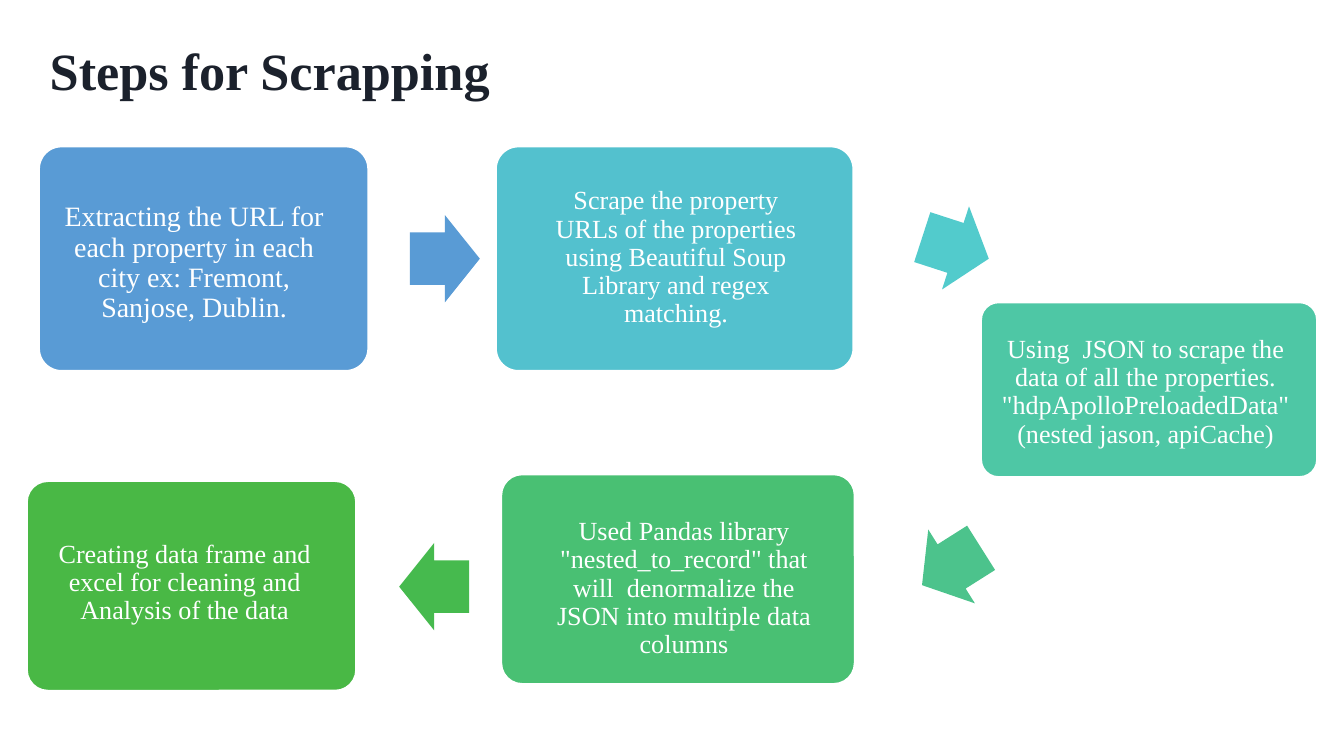
import pptx
import pptx.dml.color
import pptx.enum.shapes
import pptx.enum.text
import pptx.util

SHAPE = pptx.enum.shapes.MSO_SHAPE
ALIGN = pptx.enum.text.PP_ALIGN
MIDDLE = pptx.enum.text.MSO_ANCHOR.MIDDLE
FONT = "Times New Roman"
WHITE = "FFFFFF"
SLIDE_WIDTH = 10
SLIDE_HEIGHT = SLIDE_WIDTH * 9 / 16

TITLE = "Steps for Scrapping"

# Each step: text, size, colour, card (left, top, width, height), label area
STEPS = [
    ("Extracting the URL for each property in each city ex: Fremont, Sanjose, Dublin.",
     15, "599BD5", (0.29, 1.09, 2.45, 1.67), (0.39, 1.33, 2.11, 1.26)),
    ("Scrape the property URLs of the properties using Beautiful Soup Library and regex matching.",
     14, "53C1CE", (3.69, 1.09, 2.66, 1.67), (4.04, 1.14, 1.98, 1.56)),
    ('Using  JSON to scrape the data of all the properties. "hdpApolloPreloadedData" (nested jason, apiCache)',
     14, "4EC7A5", (7.3, 2.25, 2.5, 1.3), (7.3, 2.29, 2.45, 1.26)),
    ('Used Pandas library "nested_to_record" that will  denormalize the JSON into multiple data columns',
     14, "49C073", (3.73, 3.53, 2.63, 1.56), (3.97, 3.75, 2.24, 1.26)),
    ("Creating data frame and excel for cleaning and Analysis of the data",
     14, "49B845", (0.2, 3.58, 2.45, 1.56), (0.32, 3.79, 2.11, 1.1)),
]

# Each arrow leads to the next step: left, top, rotation, colour
ARROW_SIZE = (0.52, 0.65)
ARROWS = [
    (3.05, 1.6, 0, "599BD5"),
    (6.85, 1.52, 18, "52CBCC"),
    (6.82, 3.89, 147.7, "4CC38C"),
    (2.97, 4.04, 180, "46BA4E"),
]


def rgb(value):
    return pptx.dml.color.RGBColor.from_string(value)


def inches(lengths):
    return [pptx.util.Inches(length) for length in lengths]


def add_filled(slide, preset, area, color, adjustments):
    shape = slide.shapes.add_shape(preset, *inches(area))
    shape.shadow.inherit = False
    shape.fill.solid()
    shape.fill.fore_color.rgb = rgb(color)
    for index, share in enumerate(adjustments):
        shape.adjustments[index] = share
    return shape


def write(frame, text, size, color, align, insets, bold=False):
    """Fill a text frame with one paragraph; insets are left, top, right, bottom."""
    frame.word_wrap = True
    frame.auto_size = pptx.enum.text.MSO_AUTO_SIZE.NONE
    frame.vertical_anchor = MIDDLE
    (frame.margin_left, frame.margin_top,
     frame.margin_right, frame.margin_bottom) = inches(insets)
    paragraph = frame.paragraphs[0]
    paragraph.text = text
    paragraph.alignment = align
    paragraph.line_spacing = 0.9
    paragraph.font.name = FONT
    paragraph.font.size = pptx.util.Pt(size)
    paragraph.font.bold = bold
    paragraph.font.color.rgb = rgb(color)


def add_step(slide, text, size, color, card_area, label_area):
    card = add_filled(slide, SHAPE.ROUNDED_RECTANGLE, card_area, color, [0.1])
    card.line.color.rgb = rgb(WHITE)
    card.line.width = pptx.util.Pt(1)
    label = slide.shapes.add_textbox(*inches(label_area))
    write(label.text_frame, text, size, WHITE, ALIGN.CENTER, [0.06] * 4)


def add_arrow(slide, left, top, rotation, color):
    arrow = add_filled(slide, SHAPE.RIGHT_ARROW, (left, top, *ARROW_SIZE), color, [0.6, 0.5])
    arrow.line.fill.background()
    arrow.rotation = rotation


def main():
    deck = pptx.Presentation()
    deck.slide_width, deck.slide_height = inches((SLIDE_WIDTH, SLIDE_HEIGHT))
    slide = deck.slides.add_slide(deck.slide_layouts.get_by_name("Title Only"))

    title = slide.shapes.title
    title.left, title.top, title.width, title.height = inches((0.2, 0, 8.88, 1.09))
    write(title.text_frame, TITLE, 28, "1B212C", ALIGN.LEFT, (0.17, 0.04, 0.07, 0.04), bold=True)

    for step in STEPS:
        add_step(slide, *step)
    for arrow in ARROWS:
        add_arrow(slide, *arrow)

    deck.save("out.pptx")


if __name__ == "__main__":
    main()
